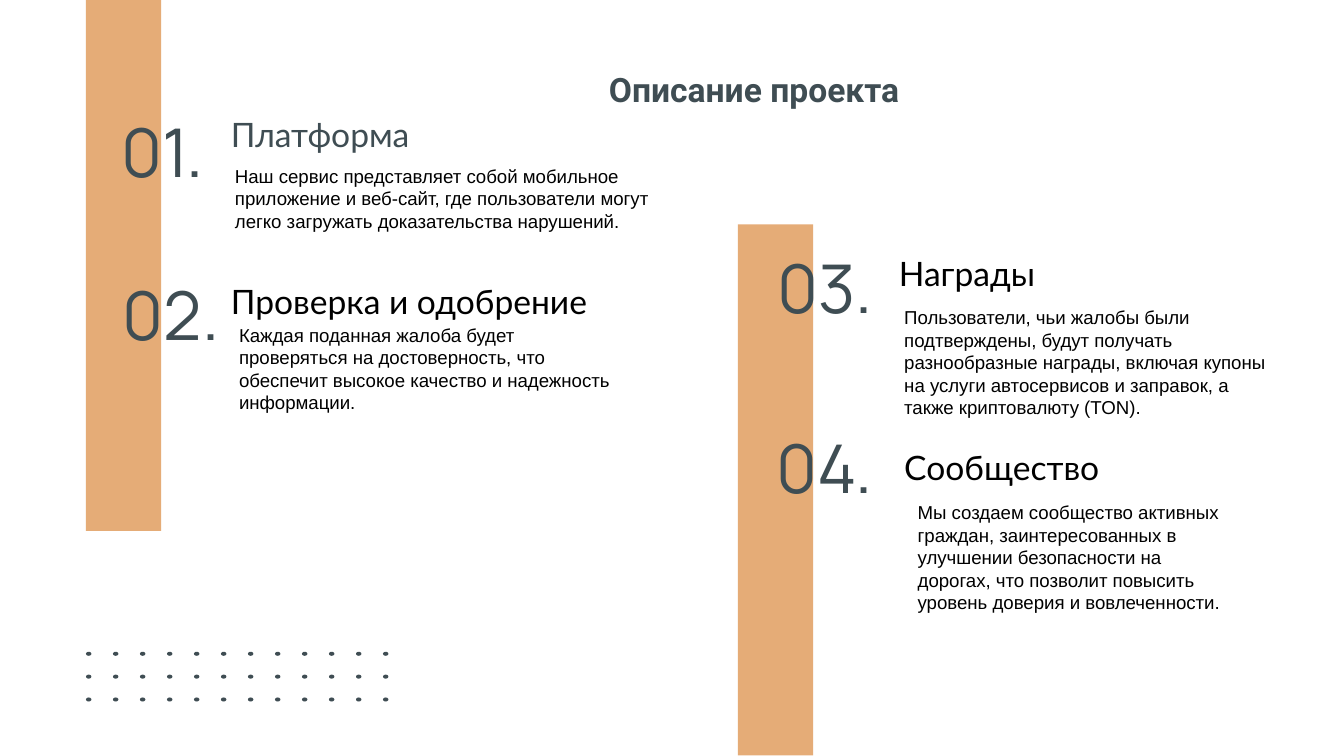
from pptx import Presentation
from pptx.dml.color import RGBColor
from pptx.enum import shapes, text
from pptx.util import Inches, Pt

SLATE = RGBColor(0x3F, 0x4D, 0x53)
SAND = RGBColor(0xE5, 0xAC, 0x77)
BLACK = RGBColor(0, 0, 0)


def write(box, words, font, size, color, anchor=text.MSO_ANCHOR.TOP,
          align=text.PP_ALIGN.LEFT, inset=0.1):
    """Fill a text shape with one paragraph; inset is the top and bottom margin."""
    frame = box.text_frame
    frame.word_wrap = True
    frame.auto_size = text.MSO_AUTO_SIZE.NONE
    frame.vertical_anchor = anchor
    frame.margin_left = frame.margin_right = Inches(0.1)
    frame.margin_top = frame.margin_bottom = Inches(inset)
    para = frame.paragraphs[0]
    para.text = words
    para.alignment = align
    para.font.name = font
    para.font.size = Pt(size)
    para.font.color.rgb = color
    return para


def paint(shape, color):
    shape.shadow.inherit = False
    shape.fill.solid()
    shape.fill.fore_color.rgb = color
    shape.line.fill.background()


deck = Presentation()
deck.slide_width = Inches(10)
deck.slide_height = Inches(10 * 9 / 16)
page = deck.slides.add_slide(deck.slide_layouts[5])

# Vertical bars behind the numbers
for left, top in [(0.64, 0), (5.49, 1.67)]:
    bar = page.shapes.add_shape(shapes.MSO_SHAPE.RECTANGLE, Inches(left), Inches(top),
                                Inches(0.56), Inches(3.95))
    paint(bar, SAND)

title = page.shapes.title
title.left, title.top = Inches(4.43), Inches(0.41)
title.width, title.height = Inches(2.67), Inches(0.53)
write(title, "Описание проекта", "Roboto", 18, SLATE).font.bold = True

# Dot grid
COLUMNS, ROWS = 12, 3
dots = page.shapes.add_group_shape()
for row in range(ROWS):
    for column in range(COLUMNS):
        dot = dots.shapes.add_shape(
            shapes.MSO_SHAPE.OVAL, Inches(0.64 + 2.21 * column / (COLUMNS - 1)),
            Inches(4.85 + 0.17 * row), Inches(0.04), Inches(0.03))
        paint(dot, SLATE)

# Number position, heading (box, colour, inset), body (box, anchor)
TOP, MIDDLE = text.MSO_ANCHOR.TOP, text.MSO_ANCHOR.MIDDLE
sections = [
    ("01.", (0.17, 0.93), "Платформа", (1.62, 0.7, 2.64, 0.48), SLATE, 0.1,
     "Наш сервис представляет собой мобильное приложение и веб-сайт, "
     "где пользователи могут легко загружать доказательства нарушений.",
     (1.65, 1.18, 3.43, 0.59), MIDDLE),
    ("02.", (0.29, 2.14), "Проверка и одобрение", (1.62, 2.04, 2.94, 0.4), BLACK, 0.05,
     "Каждая поданная жалоба будет проверяться на достоверность, "
     "что обеспечит высокое качество и надежность информации.",
     (1.68, 2.36, 2.99, 0.77), TOP),
    ("03.", (5.15, 1.94), "Награды", (6.59, 1.83, 3.33, 0.4), BLACK, 0.05,
     "Пользователи, чьи жалобы были подтверждены, будут получать "
     "разнообразные награды, включая купоны на услуги автосервисов "
     "и заправок, а также криптовалюту (TON).",
     (6.63, 2.23, 2.96, 0.94), TOP),
    ("04.", (5.15, 3.28), "Сообщество", (6.63, 3.28, 5, 0.4), BLACK, 0.05,
     "Мы создаем сообщество активных граждан, заинтересованных в улучшении "
     "безопасности на дорогах, что позволит повысить уровень доверия "
     "и вовлеченности.",
     (6.73, 3.68, 2.57, 0.94), TOP),
]
for (number, corner, heading, heading_at, color, inset,
     body, body_at, body_anchor) in sections:
    number_box, heading_box, body_box = (
        page.shapes.add_textbox(*map(Inches, place))
        for place in [(*corner, 1.44, 0.59), heading_at, body_at])
    write(number_box, number, "Manrope", 36, SLATE,
          text.MSO_ANCHOR.BOTTOM, text.PP_ALIGN.RIGHT)
    para = write(heading_box, heading, "Lato", 18, color, inset=inset)
    if number == "01.":
        para.line_spacing = 1.15
    write(body_box, body, "Arial", 10, BLACK, body_anchor, inset=0.05)

deck.save("out.pptx")
